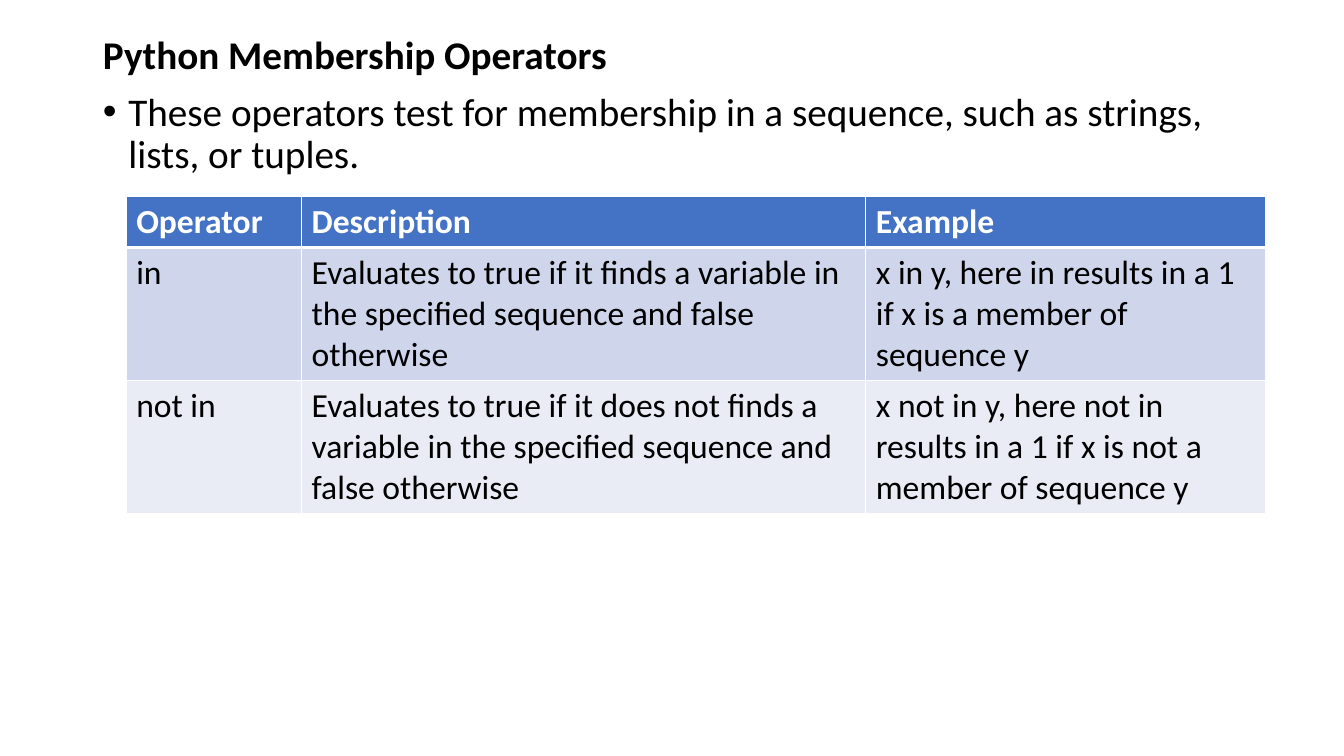
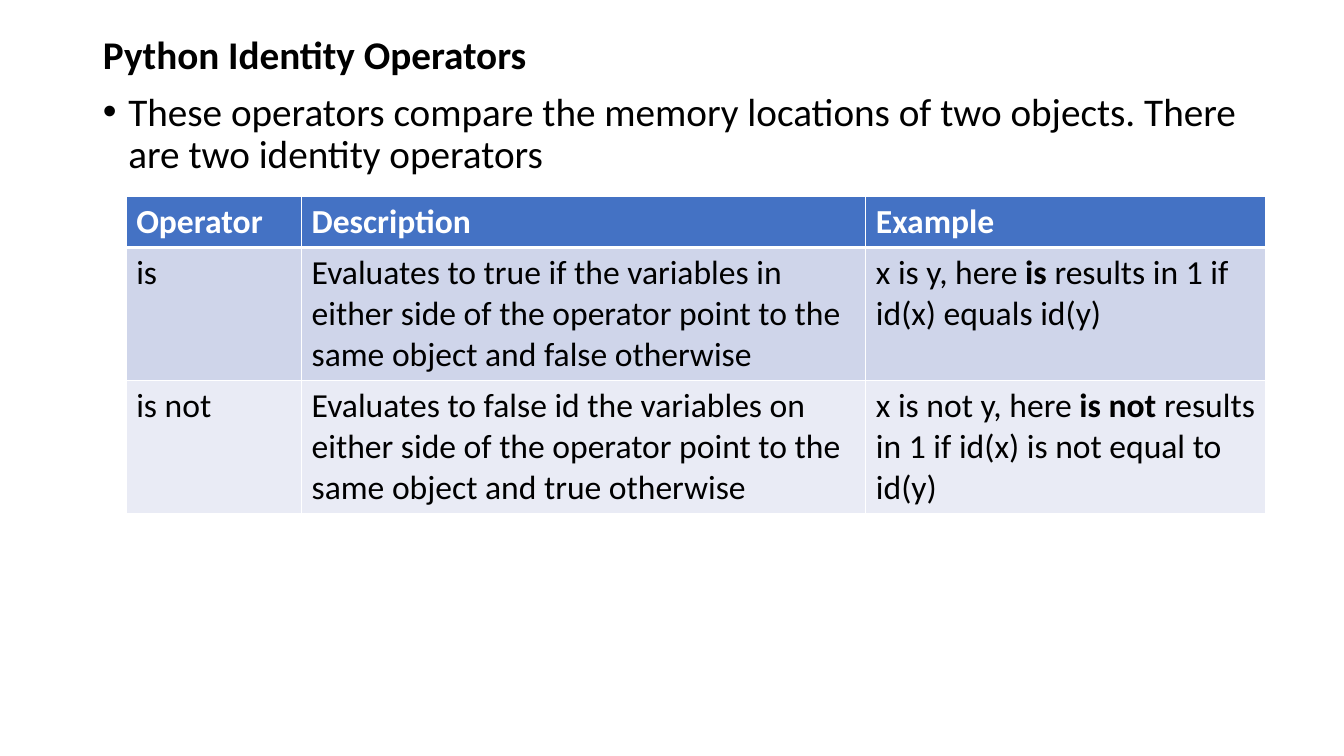
from dataclasses import dataclass

import pptx
import pptx.dml.color
import pptx.enum.text
import pptx.oxml
import pptx.oxml.ns
import pptx.util

Cm = pptx.util.Cm
Pt = pptx.util.Pt

FONT = "Calibri"
BLACK = "000000"
WHITE = "FFFFFF"
HEADER_FILL = "4472C4"
BAND_FILLS = ("CFD5EA", "E9EBF5")
HEADINGS = ("Operator", "Description", "Example")
COLUMN_WIDTHS = (4.42, 14.22, 10.08)
HEADER_HEIGHT = 1.27
OPERATOR_HEIGHT = 3.35
MARGIN = 2.34
TEXT_WIDTH = 29.21
HEADING_SIZE = 28
TABLE_SIZE = 24
THIN, THICK = 1, 3


@dataclass(frozen=True)
class Phrase:
    text: str
    bold: bool = False


@dataclass(frozen=True)
class Operator:
    symbol: str
    description: str
    example: tuple[Phrase, ...]


@dataclass(frozen=True)
class Topic:
    title: str
    summary: str
    operators: tuple[Operator, ...]


TOPICS = (
    Topic(
        "Python Membership Operators",
        "These operators test for membership in a sequence, such as strings, lists, or tuples.",
        (
            Operator(
                "in",
                "Evaluates to true if it finds a variable in the specified sequence and false otherwise",
                (Phrase("x in y, here in results in a 1 if x is a member of sequence y"),),
            ),
            Operator(
                "not in",
                "Evaluates to true if it does not finds a variable in the specified sequence and false otherwise",
                (Phrase("x not in y, here not in results in a 1 if x is not a member of sequence y"),),
            ),
        ),
    ),
    Topic(
        "Python Identity Operators",
        "These operators compare the memory locations of two objects. There are two identity operators",
        (
            Operator(
                "is",
                "Evaluates to true if the variables in either side of the operator point to the same object and false otherwise",
                (
                    Phrase("x is y, here "),
                    Phrase("is", True),
                    Phrase(" results in 1 if id(x) equals id(y)"),
                ),
            ),
            Operator(
                "is not",
                "Evaluates to false id the variables on either side of the operator point to the same object and true otherwise",
                (
                    Phrase("x is not y, here "),
                    Phrase("is not ", True),
                    Phrase("results in 1 if id(x) is not equal to id(y)"),
                ),
            ),
        ),
    ),
)


def rgb(value: str) -> pptx.dml.color.RGBColor:
    return pptx.dml.color.RGBColor.from_string(value)


def format_run(run, size: float, color: str, bold: bool) -> None:
    run.font.name = FONT
    run.font.size = Pt(size)
    run.font.bold = bold
    run.font.color.rgb = rgb(color)


def fill_placeholder(placeholder, text: str, top: float, height: float, bold: bool) -> None:
    placeholder.left, placeholder.top = Cm(MARGIN), Cm(top)
    placeholder.width, placeholder.height = Cm(TEXT_WIDTH), Cm(height)
    frame = placeholder.text_frame
    frame.text = text
    frame.word_wrap = True
    frame.auto_size = pptx.enum.text.MSO_AUTO_SIZE.NONE
    frame.vertical_anchor = pptx.enum.text.MSO_ANCHOR.TOP
    paragraph = frame.paragraphs[0]
    paragraph.alignment = pptx.enum.text.PP_ALIGN.LEFT
    paragraph.line_spacing = 0.9
    paragraph.space_before = Pt(0)
    format_run(paragraph.runs[0], HEADING_SIZE, BLACK, bold)


def set_bullet_indent(paragraph, indent: float) -> None:
    properties = paragraph._p.get_or_add_pPr()
    properties.set("marL", str(Cm(indent)))
    properties.set("indent", str(-Cm(indent)))


def add_borders(cell, top: float, bottom: float) -> None:
    properties = cell._tc.get_or_add_tcPr()
    for side, width in (("L", THIN), ("R", THIN), ("T", top), ("B", bottom)):
        properties.append(pptx.oxml.parse_xml(
            f'<a:ln{side} {pptx.oxml.ns.nsdecls("a")} w="{Pt(width)}">'
            f'<a:solidFill><a:srgbClr val="{WHITE}"/></a:solidFill></a:ln{side}>'
        ))


def fill_cell(cell, phrases: tuple[Phrase, ...], color: str, fill: str,
              top: float, bottom: float) -> None:
    add_borders(cell, top, bottom)
    cell.fill.solid()
    cell.fill.fore_color.rgb = rgb(fill)
    paragraph = cell.text_frame.paragraphs[0]
    for phrase in phrases:
        run = paragraph.add_run()
        run.text = phrase.text
        format_run(run, TABLE_SIZE, color, phrase.bold)


def add_operator_table(slide, operators: tuple[Operator, ...]) -> None:
    heights = (HEADER_HEIGHT,) + (OPERATOR_HEIGHT,) * len(operators)
    table = slide.shapes.add_table(
        len(heights), len(HEADINGS), Cm(3.18), Cm(4.95),
        Cm(sum(COLUMN_WIDTHS)), Cm(sum(heights)),
    ).table
    for column, width in zip(table.columns, COLUMN_WIDTHS):
        column.width = Cm(width)
    for row, height in zip(table.rows, heights):
        row.height = Cm(height)
    for column, heading in enumerate(HEADINGS):
        fill_cell(table.cell(0, column), (Phrase(heading, True),),
                  WHITE, HEADER_FILL, THIN, THICK)
    for index, operator in enumerate(operators):
        entries = ((Phrase(operator.symbol),), (Phrase(operator.description),), operator.example)
        top = THICK if index == 0 else THIN
        for column, phrases in enumerate(entries):
            fill_cell(table.cell(index + 1, column), phrases, BLACK,
                      BAND_FILLS[index % len(BAND_FILLS)], top, THIN)


def add_topic(deck, topic: Topic) -> None:
    slide = deck.slides.add_slide(deck.slide_layouts[1])
    summary = slide.placeholders[1]
    fill_placeholder(slide.shapes.title, topic.title, 0.76, 1.44, True)
    fill_placeholder(summary, topic.summary, 2.2, 14.97, False)
    set_bullet_indent(summary.text_frame.paragraphs[0], 0.64)
    add_operator_table(slide, topic.operators)


def main() -> None:
    deck = pptx.Presentation()
    deck.slide_width, deck.slide_height = Cm(33.87), Cm(19.05)
    for topic in TOPICS:
        add_topic(deck, topic)
    deck.save("out.pptx")


if __name__ == "__main__":
    main()
